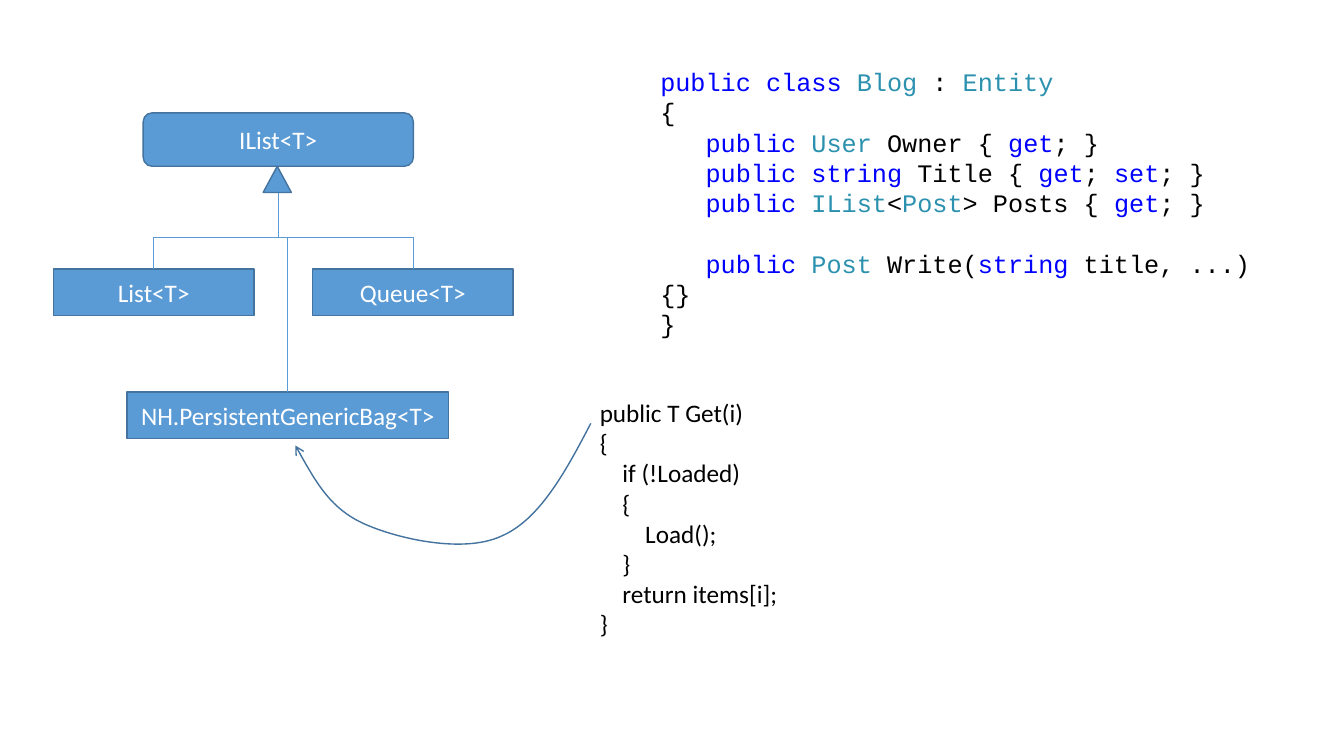
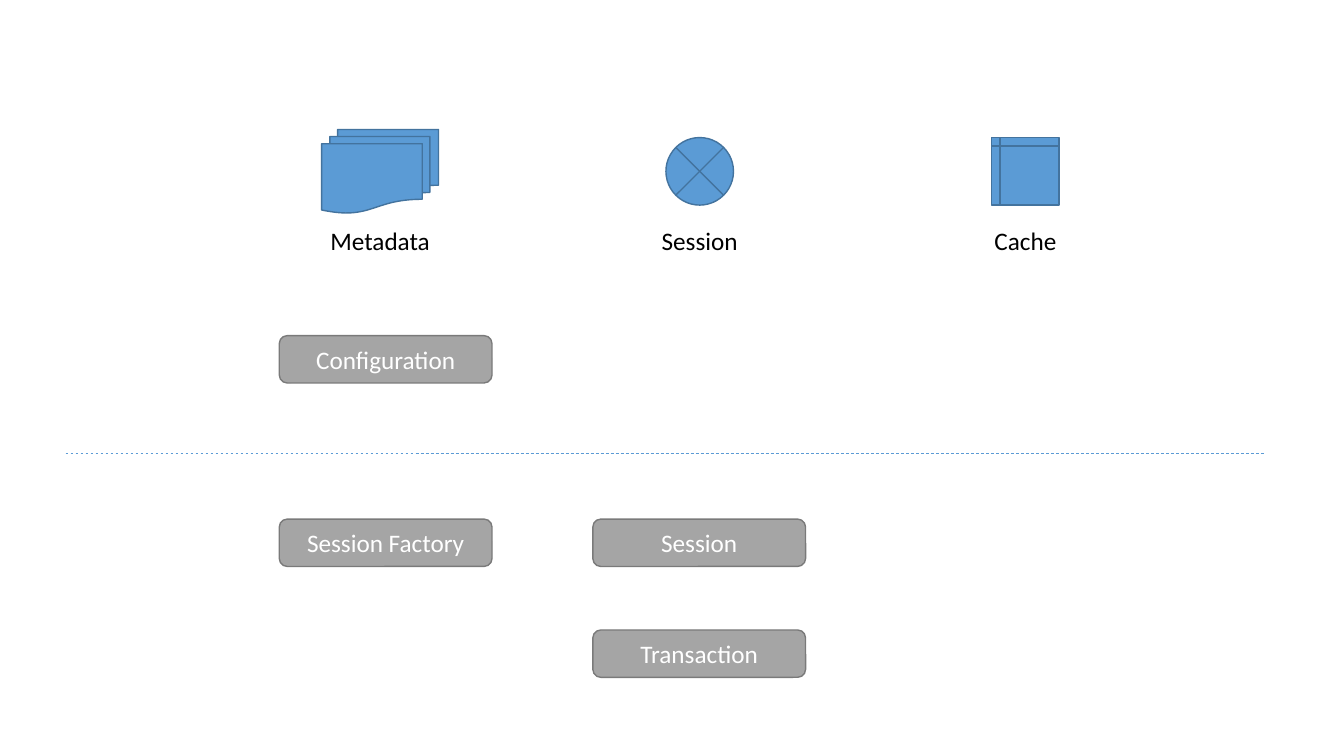
import pptx
import pptx.dml.color
import pptx.enum.dml
import pptx.enum.shapes
import pptx.enum.text
import pptx.oxml
import pptx.oxml.ns
import pptx.util

Inches = pptx.util.Inches
Pt = pptx.util.Pt
SHAPE = pptx.enum.shapes.MSO_SHAPE
CENTER = pptx.enum.text.PP_ALIGN.CENTER

BLUE, BLUE_EDGE = "5B9BD5", "43739E"
GRAY, GRAY_EDGE = "A5A5A5", "7A7A7A"
WHITE, BLACK = "FFFFFF", "000000"
KEYWORD, TYPE_NAME = "0000FF", "2B91AF"
BODY_FONT, CODE_FONT = "Calibri", "Courier New"

TOKEN_COLORS = {
    **dict.fromkeys(["public", "class", "string", "get", "set"], KEYWORD),
    **dict.fromkeys(["Blog", "Entity", "User", "IList", "Post"], TYPE_NAME),
}
BLOG_CODE = [
    "public| |class| |Blog| : |Entity",
    "{",
    "   |public| |User| Owner { |get|; }",
    "   |public| |string| Title { |get|; |set|; }",
    "   |public| |IList|<|Post|> Posts { |get|; }",
    "",
    "   |public| |Post| Write(|string| title, ...) {}",
    "}",
]
GET_CODE = [
    "public T Get(i)",
    "{",
    "    if (!Loaded)",
    "    {",
    "        Load();",
    "    }",
    "    return items[i];",
    "}",
]
INTERFACE = ("IList<T>", 1.42, 1.12, 2.68, 0.53)
IMPLEMENTATIONS = [
    ("List<T>", 0.53, 2.67, 1.99, 0.46),
    ("Queue<T>", 3.1, 2.67, 1.99, 0.46),
    ("NH.PersistentGenericBag<T>", 1.26, 3.89, 3.19, 0.46),
]
BRANCH_Y = 2.35
STEM_X = 2.76
CURVE = [
    (5.86, 4.2),
    (5.61, 4.68), (5.35, 5.16), (4.97, 5.32),
    (4.6, 5.49), (3.96, 5.35), (3.62, 5.2),
    (3.28, 5.05), (3.11, 4.74), (2.93, 4.42),
]

ICON_CENTER_Y, LABEL_TOP = 1.7, 2.19
ICONS = [
    ("Metadata", SHAPE.FLOWCHART_MULTIDOCUMENT, 3.77, 1.16, 0.83, 1.2),
    ("Session", SHAPE.FLOWCHART_SUMMING_JUNCTION, 6.94, 0.67, 0.67, 0.96),
    ("Cache", SHAPE.FLOWCHART_INTERNAL_STORAGE, 10.17, 0.67, 0.67, 0.82),
]
COLUMNS = [2.77, 5.88]
COMPONENTS = [
    ("Configuration", 0, 3.33),
    ("Session Factory", 0, 5.15),
    ("Session", 1, 5.15),
    ("Transaction", 1, 6.25),
]


def rgb(color):
    return pptx.dml.color.RGBColor.from_string(color)


def style_run(run, color, font_name=BODY_FONT):
    run.font.name = font_name
    run.font.size = Pt(18)
    run.font.color.rgb = rgb(color)


def style_line(line, color, width):
    line.color.rgb = rgb(color)
    line.width = Pt(width)


def add_block(slide, kind, left, top, width, height, text="", fill=BLUE, edge=BLUE_EDGE):
    shape = slide.shapes.add_shape(kind, Inches(left), Inches(top), Inches(width), Inches(height))
    shape.shadow.inherit = False
    shape.fill.solid()
    shape.fill.fore_color.rgb = rgb(fill)
    style_line(shape.line, edge, 1)
    if text:
        shape.text_frame.text = text
        paragraph = shape.text_frame.paragraphs[0]
        paragraph.alignment = CENTER
        style_run(paragraph.runs[0], WHITE)
    return shape


def add_line(slide, x1, y1, x2, y2):
    connector = slide.shapes.add_connector(
        pptx.enum.shapes.MSO_CONNECTOR.STRAIGHT, Inches(x1), Inches(y1), Inches(x2), Inches(y2))
    style_line(connector.line, BLUE, 0.5)
    properties = connector._element.spPr
    properties.append(properties.makeelement(pptx.oxml.ns.qn("a:effectLst"), {}))
    return connector


def add_text(slide, left, top, width, height, lines, font_name=BODY_FONT, wrap=False, alignment=None):
    text_frame = slide.shapes.add_textbox(
        Inches(left), Inches(top), Inches(width), Inches(height)).text_frame
    text_frame.word_wrap = wrap
    for index, line in enumerate(lines):
        paragraph = text_frame.add_paragraph() if index else text_frame.paragraphs[0]
        paragraph.alignment = alignment
        for token in line.split("|"):
            run = paragraph.add_run()
            run.text = token
            style_run(run, TOKEN_COLORS.get(token, BLACK), font_name)


def add_curved_arrow(slide, points):
    (start_x, start_y), *rest = [(Inches(x), Inches(y)) for x, y in points]
    builder = slide.shapes.build_freeform(start_x, start_y)
    builder.add_line_segments(rest, close=False)
    shape = builder.convert_to_shape()
    shape.shadow.inherit = False
    shape.fill.background()
    style_line(shape.line, BLUE_EDGE, 1)
    segments = shape._element.xpath(".//a:lnTo")
    for start in range(0, len(segments), 3):
        curve = segments[start].makeelement(pptx.oxml.ns.qn("a:cubicBezTo"), {})
        segments[start].addprevious(curve)
        for segment in segments[start:start + 3]:
            curve.append(segment[0])
            segment.getparent().remove(segment)
    outline = shape.line._get_or_add_ln()
    outline.append(outline.makeelement(pptx.oxml.ns.qn("a:tailEnd"), {"type": "arrow"}))


def build_collection_slide(slide):
    add_text(slide, 6.45, 0.61, 6.08, 2.52, BLOG_CODE, CODE_FONT, wrap=True)
    text, *place = INTERFACE
    add_block(slide, SHAPE.ROUNDED_RECTANGLE, *place, text)
    add_block(slide, SHAPE.ISOSCELES_TRIANGLE, 2.61, 1.65, 0.28, 0.26)
    add_line(slide, STEM_X, 1.91, STEM_X, BRANCH_Y)
    centers = []
    for text, left, top, width, height in IMPLEMENTATIONS:
        box = add_block(slide, SHAPE.RECTANGLE, left, top, width, height, text)
        center = left + width / 2
        centers.append(center)
        add_line(slide, center, BRANCH_Y, center, top).end_connect(box, 0)
    add_line(slide, min(centers), BRANCH_Y, max(centers), BRANCH_Y)
    add_text(slide, 5.85, 3.89, 1.98, 2.52, GET_CODE)
    add_curved_arrow(slide, CURVE)


def build_component_slide(slide):
    for label, kind, center, width, height, label_width in ICONS:
        add_block(slide, kind, center - width / 2, ICON_CENTER_Y - height / 2, width, height)
        add_text(slide, center - label_width / 2, LABEL_TOP, label_width, 0.4, [label], alignment=CENTER)
    for text, column, top in COMPONENTS:
        add_block(slide, SHAPE.ROUNDED_RECTANGLE, COLUMNS[column], top, 2.11, 0.47, text, GRAY, GRAY_EDGE)
    divider = add_line(slide, 0.65, 4.5, 12.54, 4.5)
    divider.line.dash_style = pptx.enum.dml.MSO_LINE.DASH


def main():
    presentation = pptx.Presentation()
    presentation.slide_width = Inches(13.33)
    presentation.slide_height = Inches(7.5)
    for build in (build_collection_slide, build_component_slide):
        build(presentation.slides.add_slide(presentation.slide_layouts[6]))
    presentation.save("out.pptx")


if __name__ == "__main__":
    main()
